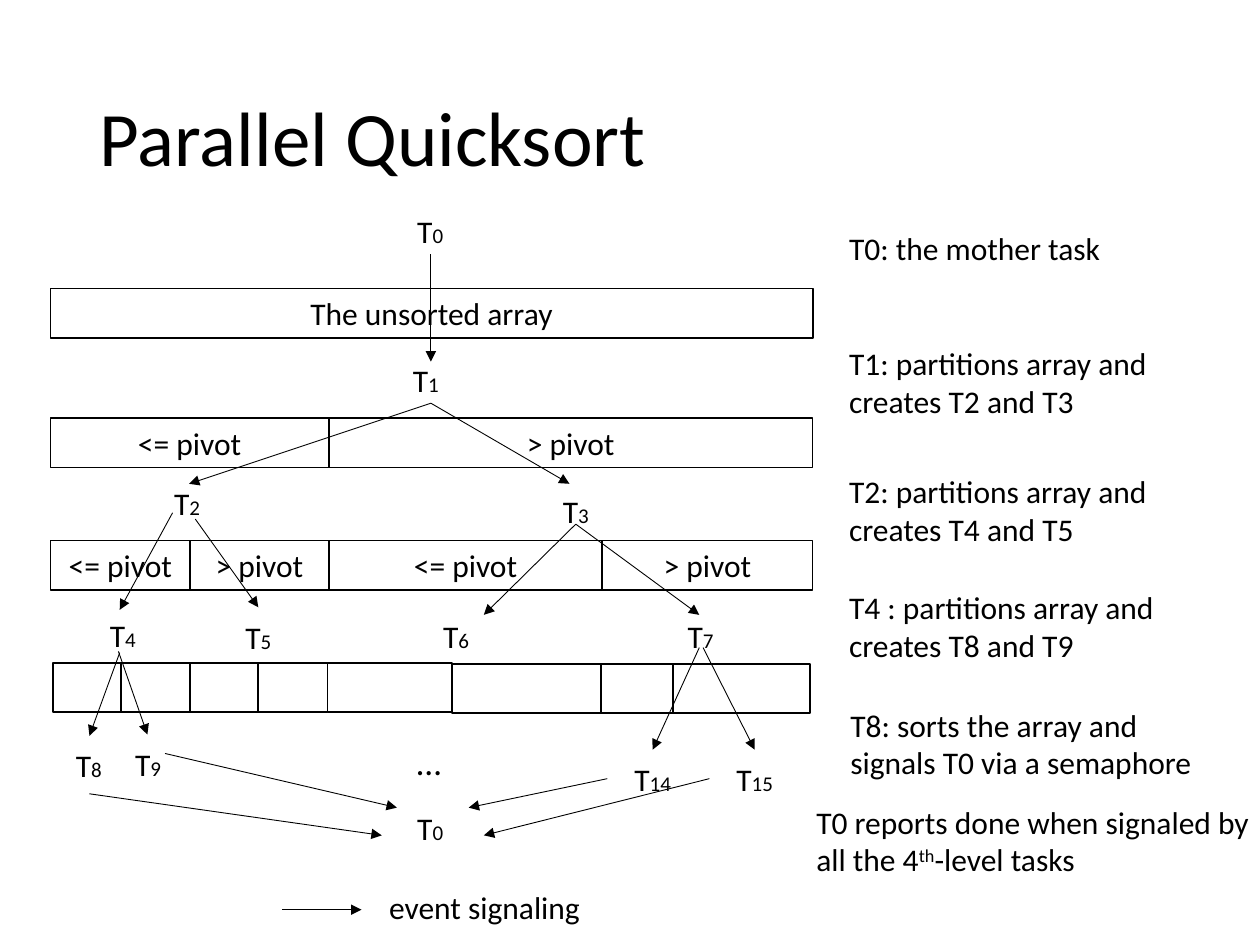
from dataclasses import dataclass
from itertools import pairwise

from lxml.etree import SubElement
from pptx import Presentation
from pptx.dml.color import RGBColor
from pptx.enum.shapes import MSO_CONNECTOR, MSO_SHAPE
from pptx.enum.text import MSO_ANCHOR, MSO_AUTO_SIZE, PP_ALIGN
from pptx.oxml.ns import qn
from pptx.util import Inches, Length, Pt

BLACK = RGBColor(0, 0, 0)
WHITE = RGBColor(255, 255, 255)
FACE = "Calibri"
WIDE, HIGH = Inches(10), Inches(7.5)
COLS, ROWS = 100, 75
BAR = 3.9  # height of an array bar in grid rows


@dataclass
class Box:
    left: float
    top: float
    width: float
    height: float


@dataclass
class Bar:
    top: float
    edges: list[float]
    words: list[str]


@dataclass
class Node:
    num: str
    box: Box


@dataclass
class Arrow:
    x1: float
    y1: float
    x2: float
    y2: float


@dataclass
class Note:
    words: list[str]  # every second part is raised
    box: Box
    wrap: bool = True
    size: float = 18


def col(n: float) -> Length:
    return Length(round(WIDE * n / COLS))


def row(n: float) -> Length:
    return Length(round(HIGH * n / ROWS))


def place(box: Box) -> tuple[Length, Length, Length, Length]:
    return col(box.left), row(box.top), col(box.width), row(box.height)


def apply(item, form: dict) -> None:
    for key, value in form.items():
        setattr(item, key, value)


def write(para, text: str, size: float = 18):
    run = para.add_run()
    run.text = text
    apply(run.font, {"name": FACE, "size": Pt(size)})
    run.font.color.rgb = BLACK
    return run


def add_form(kind: MSO_SHAPE, box: Box, wrap: bool):
    shape = slide.shapes.add_shape(kind, *place(box))
    shape.shadow.inherit = False
    apply(shape.text_frame, {"word_wrap": wrap, "vertical_anchor": MSO_ANCHOR.MIDDLE})
    para = shape.text_frame.paragraphs[0]
    para.alignment = PP_ALIGN.CENTER
    return shape, para


def add_bar(bar: Bar) -> None:
    for (left, right), text in zip(pairwise(bar.edges), bar.words):
        box = Box(left, bar.top, right - left, BAR)
        shape, para = add_form(MSO_SHAPE.RECTANGLE, box, True)
        shape.fill.solid()
        shape.fill.fore_color.rgb = WHITE
        shape.line.color.rgb = BLACK
        shape.line.width = Pt(1)
        if text:
            write(para, text)


def add_node(node: Node) -> None:
    shape, para = add_form(MSO_SHAPE.OVAL, node.box, False)
    shape.fill.background()
    shape.line.fill.background()
    write(para, "T")
    write(para, node.num, 12)


def add_arrow(arrow: Arrow) -> None:
    line = slide.shapes.add_connector(
        MSO_CONNECTOR.STRAIGHT, col(arrow.x1), row(arrow.y1), col(arrow.x2), row(arrow.y2))
    line.line.color.rgb = BLACK
    line.line.width = Pt(0.5)
    SubElement(line.line._get_or_add_ln(), qn("a:tailEnd"), type="triangle")
    SubElement(line._element.spPr, qn("a:effectLst"))


def add_note(note: Note) -> None:
    frame = slide.shapes.add_textbox(*place(note.box)).text_frame
    apply(frame, {"word_wrap": note.wrap, "auto_size": MSO_AUTO_SIZE.SHAPE_TO_FIT_TEXT})
    for i, text in enumerate(note.words):
        run = write(frame.paragraphs[0], text, note.size)
        if i % 2:
            run._r.get_or_add_rPr().set("baseline", "30000")


deck = Presentation()
apply(deck, {"slide_width": WIDE, "slide_height": HIGH})
slide = deck.slides.add_slide(deck.slide_layouts[5])

# Title
title = slide.shapes.title
apply(title, dict(zip(("left", "top", "width", "height"), place(Box(6.9, 4, 86.2, 14.5)))))
title.text_frame.vertical_anchor = MSO_ANCHOR.MIDDLE
head = title.text_frame.paragraphs[0]
apply(head, {"alignment": PP_ALIGN.LEFT, "line_spacing": 0.9})
write(head, "Parallel Quicksort", 44)

# Array at each level
LOW, UP = "<= pivot", "> pivot"
bars = [
    Bar(22.9, [4, 64.5], ["The unsorted array"]),
    Bar(33.2, [4, 26.1, 64.5], [LOW, UP]),
    Bar(42.9, [4, 15.1, 26.1, 47.8, 64.5], [LOW, UP, LOW, UP]),
    Bar(52.6, [4.2, 9.6, 15.1, 20.5, 26, 35.9], [""] * 5),
    Bar(52.7, [35.9, 47.7, 53.4, 64.3], [""] * 3),
]
for bar in bars:
    add_bar(bar)

# Task creation, signals and the key's arrow
arrows = [
    Arrow(34.2, 20.2, 34.2, 28.7),
    Arrow(34.2, 32, 15, 38.4), Arrow(34.2, 32, 45.2, 38.4),
    Arrow(13.7, 40.7, 9.5, 48.4), Arrow(15.5, 41.2, 20.5, 48.2),
    Arrow(45.7, 41.6, 38.4, 48.8), Arrow(45.7, 41.6, 55.5, 48.8),
    Arrow(9.5, 51.8, 7.1, 58.4), Arrow(9.4, 51.7, 11.7, 58.3),
    Arrow(55.5, 51.4, 51.8, 59.5), Arrow(55.8, 51.4, 59.9, 59.5),
    Arrow(7.1, 63, 30.3, 66.3), Arrow(13.1, 59.8, 31.5, 64.1),
    Arrow(48.2, 61.8, 37.2, 64.1), Arrow(56.3, 61.8, 38.4, 66.3),
    Arrow(22.4, 72.2, 28.7, 72.2),
]
for arrow in arrows:
    add_arrow(arrow)

# Tasks
nodes = [
    Node("0", Box(30.1, 15.2, 8.1, 6.2)),
    Node("1", Box(30.6, 27.8, 6.4, 4.7)),
    Node("2", Box(11.7, 37.6, 6.3, 4.6)),
    Node("3", Box(42.5, 38.2, 6.4, 4.7)),
    Node("4", Box(6.7, 48.1, 6.1, 4.6)),
    Node("5", Box(17.3, 48.2, 6.4, 4.7)),
    Node("6", Box(33, 48.1, 6.4, 4.7)),
    Node("7", Box(52.4, 48.1, 6.4, 4.7)),
    Node("8", Box(4, 58.4, 6.1, 4.6)),
    Node("9", Box(8.7, 58.3, 6.1, 4.6)),
    Node("14", Box(48.2, 59.5, 7.2, 4.6)),
    Node("15", Box(56.3, 59.5, 7.2, 4.6)),
    Node("0", Box(30.1, 62.6, 8.1, 6.2)),
]
for node in nodes:
    add_node(node)

# Remarks and key
notes = [
    Note(["T0: the mother task "], Box(66.4, 17.7, 22.8, 4), False),
    Note(["T1: partitions array and creates T2 and T3"], Box(66.4, 26.8, 28.9, 7.1)),
    Note(["T2: partitions array and creates T4 and T5"], Box(66.4, 37, 28.9, 7.1)),
    Note(["T4 : partitions array and creates T8 and T9"], Box(66.4, 46.2, 31.7, 7.1)),
    Note(["T8: sorts the array and signals T0 via a semaphore"], Box(66.5, 55.5, 31.7, 7.1)),
    Note(["T0 reports done when signaled by all the 4", "th", "-level tasks"],
         Box(63.8, 63.2, 37.1, 7.1)),
    Note(["…"], Box(32.1, 58.3, 13.8, 4.4), size=20),
    Note(["event signaling"], Box(29.9, 70, 17.4, 4), False),
]
for note in notes:
    add_note(note)

deck.save("out.pptx")
